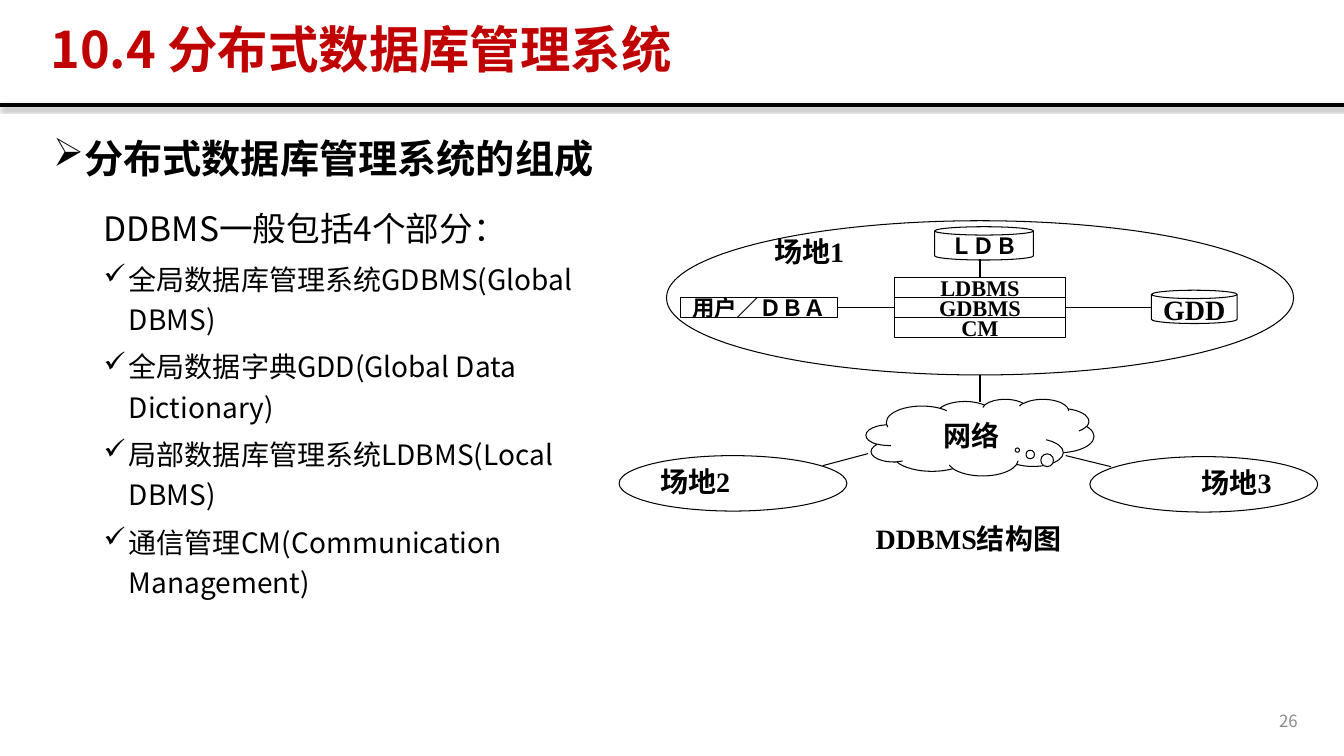
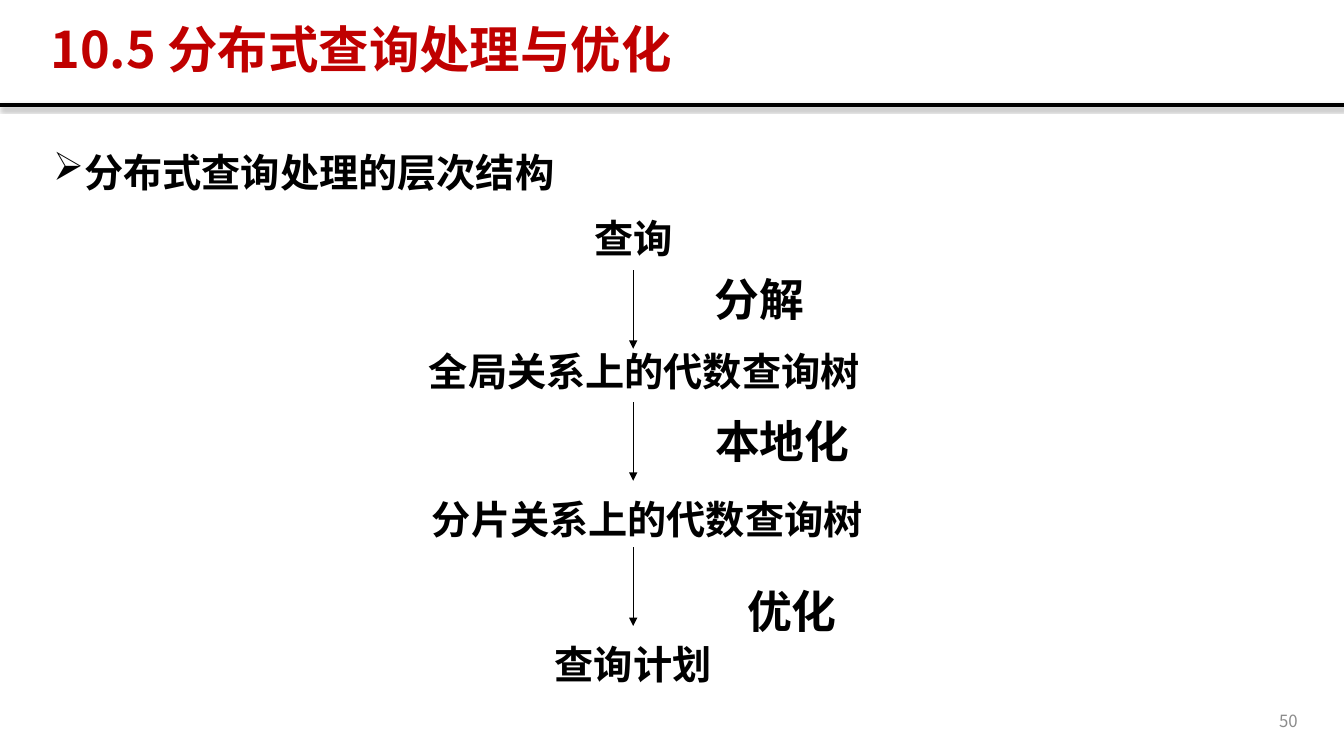
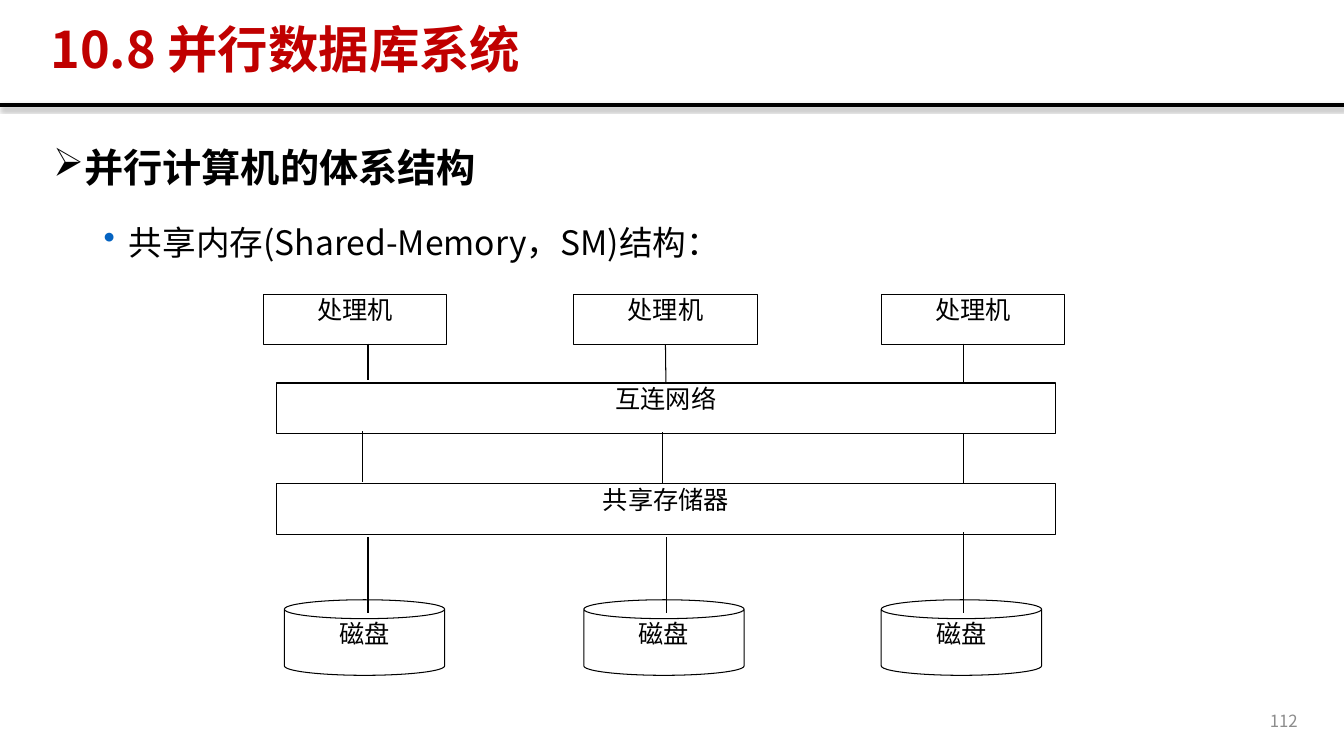
from pptx import Presentation
from pptx.dml.color import RGBColor
from pptx.enum.shapes import MSO_CONNECTOR as Link, MSO_SHAPE as Kind
from pptx.enum.text import MSO_ANCHOR as Anchor, MSO_AUTO_SIZE as Fit, PP_ALIGN as Align
from pptx.oxml import parse_xml
from pptx.oxml.ns import nsdecls
from pptx.util import Inches, Pt

COLORS = {"ink": "000000", "paper": "FFFFFF", "title": "C00000",
          "page": "8C8C8C", "dot": "0563C1"}
SANS, SERIF = "Noto Sans CJK SC", "Times New Roman"

# Paragraph styles of the body text: indents in inches, spacing in points
HEAD = {"size": 28, "bold": True, "left": 0.25, "hang": -0.25, "bullet": "➢"}
LEAD = {"size": 24, "left": 0.5, "line": 1.5, "before": 5}
CHECK = {"size": 20, "left": 0.75, "hang": -0.25, "line": 1.2, "before": 5, "bullet": "✓"}
DOT = {"size": 24, "left": 0.75, "hang": -0.25, "line": 1.6, "before": 5,
       "bullet": "•", "tint": "dot"}

SYSTEM = {
    "title": "10.4 分布式数据库管理系统", "page": 26,
    "width": 5.63,
    "body": [("分布式数据库管理系统的组成", HEAD),
             ("DDBMS一般包括4个部分：", LEAD),
             ("全局数据库管理系统GDBMS(Global DBMS)", CHECK),
             ("全局数据字典GDD(Global Data Dictionary)", CHECK),
             ("局部数据库管理系统LDBMS(Local DBMS)", CHECK),
             ("通信管理CM(Communication Management)", CHECK)],
}
SITES = [(6.61, 2.19, 6.22, 1.53), (6.14, 4.52, 2.26, 0.55), (10.81, 4.53, 2.26, 0.55)]
LABELS = [("场地1", (7.46, 2.33, 1.13, 0.33)),
          ("场地2", (6.33, 4.61, 1.13, 0.33)),
          ("场地3", (11.7, 4.62, 1.13, 0.33)),
          ("DDBMS结构图", (6.07, 5.17, 7.07, 0.33))]
LAYERS = ["LDBMS", "GDBMS", "CM"]

QUERY = {
    "title": "10.5 分布式查询处理与优化", "page": 50,
    "width": 12.53,
    "body": [("分布式查询处理的层次结构", {**HEAD, "line": 1.3})],
}
STAGES = [("查询", (5.79, 2.07, 0.98, 0.57)),
          ("全局关系上的代数查询树", (4.14, 3.39, 4.5, 0.57)),
          ("分片关系上的代数查询树", (4.17, 4.86, 4.5, 0.57)),
          ("查询计划", (5.4, 6.3, 1.76, 0.57))]
STEPS = [("分解", (6.99, 2.65, 1.09, 0.63)),
         ("本地化", (6.99, 4.06, 1.54, 0.63)),
         ("优化", (7.31, 5.74, 1.09, 0.63))]
ARROWS = [2.68, 3.99, 5.43]

MEMORY = {
    "title": "10.8 并行数据库系统", "page": 112,
    "width": 12.53,
    "body": [("并行计算机的体系结构", {**HEAD, "line": 1.2}),
             ("共享内存(Shared-Memory，SM)结构：", DOT)],
}
CPUS = [2.61, 5.69, 8.74]
DISKS = [2.82, 5.79, 8.74]
BARS = [("互连网络", 3.8), ("共享存储器", 4.8)]
WIRES = [(3.65, 3.41, 3.77), (9.56, 3.41, 3.79),
         (3.6, 4.28, 4.78), (6.57, 4.29, 4.79), (9.56, 4.3, 4.8),
         (3.65, 5.33, 6.08), (6.61, 5.33, 6.08), (9.56, 5.28, 6.08)]


def color(name):
    return RGBColor.from_string(COLORS[name])


def box(at):
    return [Inches(v) for v in at]


def write(para, text, size, font=SANS, bold=False, ink="ink"):
    run = para.add_run()
    run.text = text
    run.font.color.rgb = color(ink)
    for key, value in {"size": Pt(size), "name": font, "bold": bold}.items():
        setattr(run.font, key, value)
    run.font._element.append(parse_xml(f'<a:ea {nsdecls("a")} typeface="{SANS}"/>'))


def setup(frame, anchor=Anchor.TOP, side=0, top=0, wrap=True):
    form = {"auto_size": Fit.NONE, "word_wrap": wrap, "vertical_anchor": anchor,
            "margin_left": Inches(side), "margin_right": Inches(side),
            "margin_top": Inches(top), "margin_bottom": Inches(top)}
    for key, value in form.items():
        setattr(frame, key, value)


def label(slide, text, at, size, align=Align.CENTER, font=SERIF, bold=True,
          ink="ink", **form):
    frame = slide.shapes.add_textbox(*box(at)).text_frame
    setup(frame, **form)
    frame.paragraphs[0].alignment = align
    write(frame.paragraphs[0], text, size, font, bold, ink)


def node(slide, kind, at, text="", size=16, bold=True, anchor=Anchor.MIDDLE):
    """Add a white outlined shape with centred text."""
    shape = slide.shapes.add_shape(kind, *box(at))
    shape.shadow.inherit = False
    shape.fill.solid()
    shape.fill.fore_color.rgb = color("paper")
    shape.line.color.rgb = color("ink")
    shape.line.width = Pt(0.75)
    setup(shape.text_frame, anchor)
    if text:
        para = shape.text_frame.paragraphs[0]
        para.alignment = Align.CENTER
        write(para, text, size, SERIF, bold)
    return shape


def wire(slide, start, stop, head=None, tail=None, width=0.75, effect=""):
    """Draw a line; head and tail are (shape, site) pairs to join."""
    line = slide.shapes.add_connector(Link.STRAIGHT, *box(start + stop))
    line.line.color.rgb = color("ink")
    line.line.width = Pt(width)
    if head:
        line.begin_connect(*head)
    if tail:
        line.end_connect(*tail)
    line.element.spPr.append(
        parse_xml(f'<a:effectLst {nsdecls("a")}>{effect}</a:effectLst>'))
    return line


def add_rule(slide):
    """Draw the title rule and move it to the layout that the slides share."""
    shade = (f'<a:outerShdw blurRad="{Pt(3.1)}" dist="{Pt(1.8)}" dir="5400000" '
             f'rotWithShape="0"><a:srgbClr val="{COLORS["ink"]}">'
             '<a:alpha val="35000"/></a:srgbClr></a:outerShdw>')
    rule = wire(slide, (0, 1.04), (13.33, 1.04), width=3, effect=shade)
    slide.slide_layout.shapes.element.append(rule.element)


def add_body(slide, rows, width):
    frame = slide.shapes.add_textbox(*box((0.43, 1.33, width, 4.83))).text_frame
    setup(frame, side=0.1)
    for i, (text, form) in enumerate(rows):
        para = frame.add_paragraph() if i else frame.paragraphs[0]
        props = para._p.get_or_add_pPr()
        props.set("marL", str(Inches(form["left"])))
        props.set("indent", str(Inches(form.get("hang", 0))))
        if "bullet" in form:
            tint = COLORS[form.get("tint", "ink")]
            for xml in (f'<a:buClr {nsdecls("a")}><a:srgbClr val="{tint}"/></a:buClr>',
                        f'<a:buChar {nsdecls("a")} char="{form["bullet"]}"/>'):
                props.append(parse_xml(xml))
        para.line_spacing = form.get("line", 1.0)
        para.space_before = Pt(form.get("before", 0))
        write(para, text, form["size"], bold=form.get("bold", False))


def start(deck, data):
    """Add a slide with its title, page number and body text."""
    slide = deck.slides.add_slide(deck.slide_layouts[5])
    title = slide.shapes.title
    title.left, title.top, title.width, title.height = box((0.4, 0.19, 11.7, 0.65))
    setup(title.text_frame, Anchor.MIDDLE, 0.1, 0.05)
    para = title.text_frame.paragraphs[0]
    para.alignment, para.line_spacing = Align.LEFT, 0.9
    write(para, data["title"], 36, bold=True, ink="title")
    label(slide, str(data["page"]), (9.97, 6.95, 3, 0.4), 12, Align.RIGHT, SANS,
          False, "page", anchor=Anchor.MIDDLE, side=0.1)
    add_body(slide, data["body"], data["width"])
    return slide


def draw_system(slide):
    for at in SITES:
        node(slide, Kind.OVAL, at)
    cloud = node(slide, Kind.CLOUD_CALLOUT, (8.59, 3.96, 2.26, 0.76), "网络", 20)
    cloud.adjustments[0], cloud.adjustments[1] = 0.164, 0.166
    for text, at in LABELS:
        label(slide, text, at, 20)
    node(slide, Kind.CAN, (9.27, 2.25, 0.98, 0.33), "ＬＤＢ")
    node(slide, Kind.CAN, (11.42, 2.88, 0.85, 0.33), "GDD", 20)
    local, whole, _ = [node(slide, Kind.RECTANGLE, (8.87, 2.75 + 0.2 * i, 1.7, 0.2), text)
                       for i, text in enumerate(LAYERS)]
    user = node(slide, Kind.RECTANGLE, (6.75, 2.95, 1.56, 0.2), "用户／ＤＢＡ")
    wire(slide, (8.31, 3.05), (8.87, 3.05), (user, 3), (whole, 1))
    wire(slide, (10.57, 3.05), (11.42, 3.05), head=(whole, 3))
    wire(slide, (9.72, 2.75), (9.72, 2.57), head=(local, 0))
    wire(slide, (9.72, 3.72), (9.72, 3.99))
    wire(slide, (8.61, 4.5), (8.16, 4.62))
    wire(slide, (10.57, 4.52), (11.02, 4.63))


def draw_query(slide):
    for rows, size in ((STAGES, 28), (STEPS, 32)):
        for text, at in rows:
            label(slide, text, at, size, anchor=Anchor.MIDDLE, side=0.1, wrap=False)
    for top in ARROWS:
        arrow = wire(slide, (6.28, top), (6.28, top + 0.78))
        arrow.line._get_or_add_ln().append(
            parse_xml(f'<a:tailEnd {nsdecls("a")} type="triangle"/>'))


def draw_memory(slide):
    form = {"size": 18, "bold": False, "anchor": Anchor.TOP}
    cpus = [node(slide, Kind.RECTANGLE, (x, 2.92, 1.82, 0.5), "处理机", **form)
            for x in CPUS]
    bars = [node(slide, Kind.RECTANGLE, (2.74, y, 7.73, 0.5), text, **form)
            for text, y in BARS]
    for x in DISKS:
        node(slide, Kind.CAN, (x, 5.95, 1.59, 0.75), "磁盘", **form)
    wire(slide, (6.6, 3.42), (6.6, 3.8), (cpus[1], 2), (bars[0], 0))
    for x, top, end in WIRES:
        wire(slide, (x, top), (x, end))


def main():
    deck = Presentation()
    deck.slide_width, deck.slide_height = Inches(13.33), Inches(7.5)
    for data, draw in ((SYSTEM, draw_system), (QUERY, draw_query), (MEMORY, draw_memory)):
        draw(start(deck, data))
    add_rule(deck.slides[0])
    deck.save("out.pptx")


if __name__ == "__main__":
    main()
